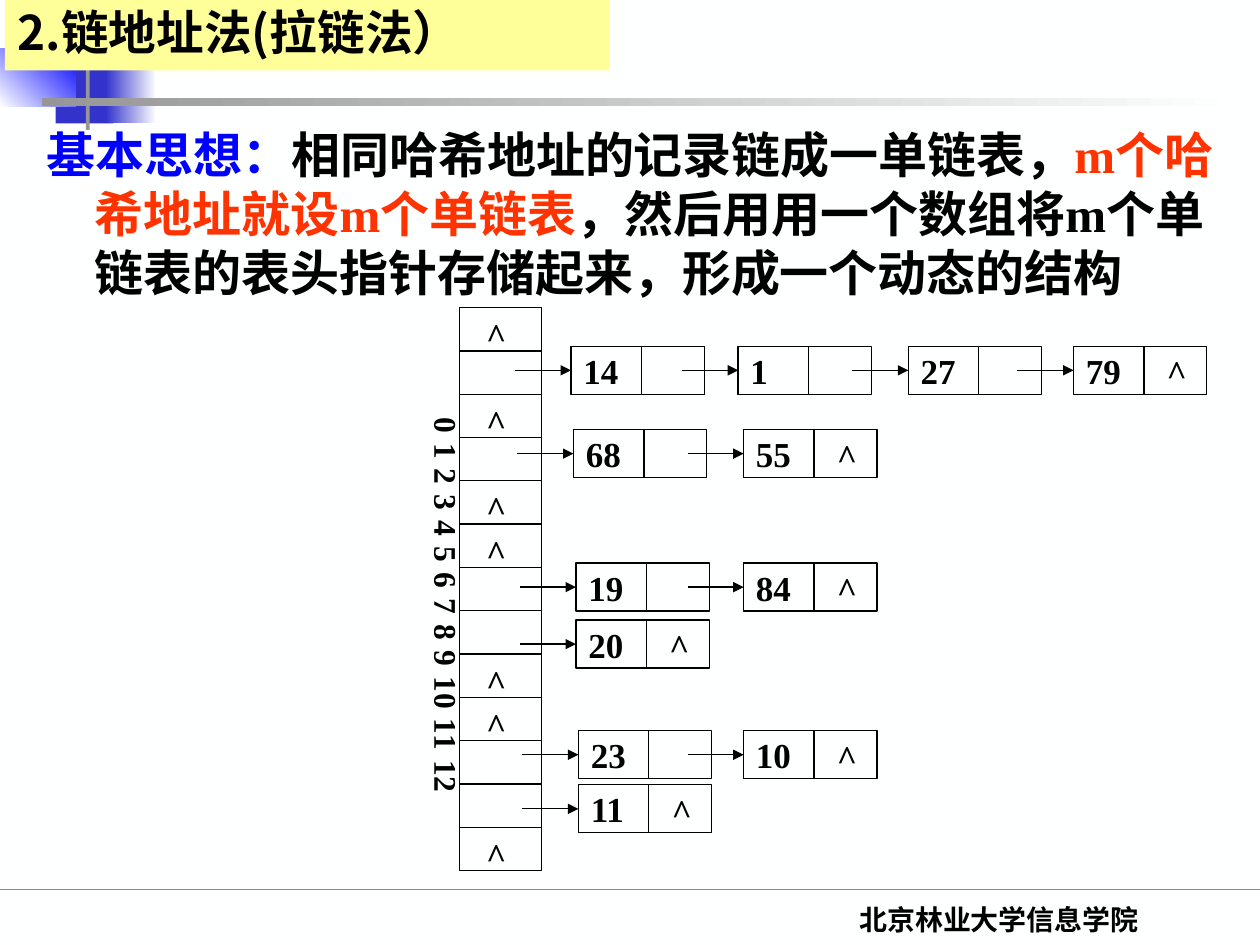
from lxml import etree
from pptx import Presentation
from pptx import util as u
from pptx.dml.color import RGBColor
from pptx.enum import shapes, text
from pptx.oxml import ns

COLORS = {
    "paper": "FEFFFF", "ink": "000000", "banner": "FFFF99", "term": "0000FF",
    "accent": "FF3300", "rule": "00CC99", "navy": "003366", "indigo": "3333CC",
    "gray": "969696",
}
SERIF, SANS = "Times New Roman", "Noto Sans CJK SC"

SLOTS = 13
CHAINS = [
    (0.78, [("14", 3.26), ("1", 6.63), ("27", 10.06), ("79", 13.39)]),
    (2.46, [("68", 3.31), ("55", 6.74)]),
    (5.15, [("19", 3.36), ("84", 6.74)]),
    (6.3, [("20", 3.36)]),
    (8.53, [("23", 3.41), ("10", 6.74)]),
    (9.62, [("11", 3.41)]),
]
EMPTY_SLOTS = [0, 2, 4, 5, 8, 9, 12]


def color(name):
    return RGBColor.from_string(COLORS[name])


def place(box, left, top, width, height):
    box.left, box.top = u.Cm(left), u.Cm(top)
    box.width, box.height = u.Cm(width), u.Cm(height)


def format_run(span, size, fill="ink", latin=SERIF):
    span.font.size = u.Pt(size)
    span.font.bold = True
    span.font.color.rgb = color(fill)
    span.font.name = latin
    east = etree.SubElement(span.font._element, ns.qn("a:ea"))
    east.set("typeface", SANS)


def write(box, words, size, align=text.PP_ALIGN.LEFT, latin=SERIF):
    para = box.text_frame.paragraphs[0]
    para.text = words
    para.alignment = align
    format_run(para.runs[0], size, latin=latin)
    return para


def add_label(page, words, left, top, width, height, size, wrap=False):
    box = page.shapes.add_textbox(u.Cm(left), u.Cm(top), u.Cm(width), u.Cm(height))
    box.text_frame.word_wrap = wrap
    return box, write(box, words, size)


def add_box(page, left, top, width, height):
    box = page.shapes.add_shape(
        shapes.MSO_SHAPE.RECTANGLE, u.Cm(left), u.Cm(top), u.Cm(width), u.Cm(height))
    box.shadow.inherit = False
    box.fill.background()
    box.line.color.rgb = color("ink")
    box.line.width = u.Pt(0.75)
    return box


def add_line(page, x1, y1, x2, y2, stroke="ink", arrow=False):
    line = page.shapes.add_connector(
        shapes.MSO_CONNECTOR.STRAIGHT, u.Cm(x1), u.Cm(y1), u.Cm(x2), u.Cm(y2))
    line.line.color.rgb = color(stroke)
    line.line.width = u.Pt(0.75)
    if arrow:
        head = etree.SubElement(line.line._get_or_add_ln(), ns.qn("a:tailEnd"))
        head.set("type", "triangle")
    etree.SubElement(line._element.spPr, ns.qn("a:effectLst"))
    return line


def add_ornament(page, left, top):
    blocks = [
        (0.79, 0, 1.22, 1.32, ["navy"], 0),
        (1.83, 0, 0.91, 1.32, ["navy", "paper"], 0),
        (1.12, 1.17, 1.17, 1.32, ["indigo"], 0),
        (2.13, 1.17, 1.02, 1.32, ["indigo", "paper"], 0),
        (0, 0.97, 1.52, 1.17, ["paper", "term"], 45),
        (1.73, 0, 0.08, 2.62, ["gray"], 0),
        (0.84, 1.98, 24.16, 0.15, ["gray", "paper"], 0),
    ]
    for x, y, width, height, fills, angle in blocks:
        box = add_box(page, left + x, top + y, width, height)
        box.line.fill.background()
        if len(fills) == 1:
            box.fill.solid()
            box.fill.fore_color.rgb = color(fills[0])
            continue
        box.fill.gradient()
        box.fill.gradient_angle = angle
        for stop, name in zip(box.fill.gradient_stops, fills):
            stop.color.rgb = color(name)


def add_title(page, left, top, width, height):
    title = page.shapes.title
    place(title, left, top, width, height)
    title.fill.solid()
    title.fill.fore_color.rgb = color("banner")
    title.text_frame.auto_size = text.MSO_AUTO_SIZE.NONE
    title.text_frame.vertical_anchor = text.MSO_ANCHOR.MIDDLE
    para = write(title, "2.链地址法(拉链法）", 27.2, latin=SANS)
    para.line_spacing = 0.9
    title.element.getparent().append(title.element)


def add_idea(page, left, top, width, height):
    body = page.placeholders[1]
    place(body, left, top, width, height)
    body.text_frame.auto_size = text.MSO_AUTO_SIZE.NONE
    para = body.text_frame.paragraphs[0]
    properties = para._p.get_or_add_pPr()
    properties.set("marL", str(u.Cm(0.97)))
    properties.set("indent", str(u.Cm(-0.97)))
    etree.SubElement(properties, ns.qn("a:buNone"))
    para.space_before = u.Pt(0)
    for words, fill in [
        ("基本思想：", "term"),
        ("相同哈希地址的记录链成一单链表，", "ink"),
        ("m个哈希地址就设m个单链表", "accent"),
        ("，然后用用一个数组将m个单链表的表头指针存储起来，形成一个动态的结构", "ink"),
    ]:
        span = para.add_run()
        span.text = words
        format_run(span, 28, fill)


def add_caret(page, left, top):
    add_label(page, "^", left, top, 0.92, 1.12, 20)


def add_array(page, left, top, width, height):
    add_box(page, left, top, width, height)
    pitch = height / SLOTS
    for slot in range(1, SLOTS):
        y = top + slot * pitch
        add_line(page, left, y, left + width, y)
    for slot in EMPTY_SLOTS:
        add_caret(page, left + 0.28, top + slot * pitch)


def add_node(page, words, left, top, width=2.69, height=0.97):
    box = add_box(page, left, top, width, height)
    box.text_frame.vertical_anchor = text.MSO_ANCHOR.MIDDLE
    write(box, words, 20)
    add_line(page, left + 1.42, top, left + 1.42, top + height)
    middle = top + height / 2
    arrow = add_line(page, left - 1.13, middle, left, middle, arrow=True)
    arrow.end_connect(box, 1)


def add_hash_table(page, left, top):
    add_array(page, left + 1.02, top, 1.65, 11.35)
    box, para = add_label(page, " ".join(map(str, range(SLOTS))),
                          left, top + 1.96, 1.27, 8.05, 18)
    para.runs[0].font._element.set("spc", "64")
    frame = box.text_frame
    frame._txBody.bodyPr.set("vert", "eaVert")
    frame.margin_left = frame.margin_right = u.Cm(0.13)
    frame.margin_top = frame.margin_bottom = u.Cm(0.25)
    for y, nodes in CHAINS:
        for words, x in nodes:
            add_node(page, words, left + x, top + y)
        add_caret(page, left + nodes[-1][1] + 1.63, top + y - 0.03)


def add_footer(page, left, top, width, height):
    add_line(page, 0, top, left + width, top, "rule")
    _, para = add_label(page, "北京林业大学信息学院",
                        left, top + 0.13, width, height, 16, wrap=True)
    para.alignment = text.PP_ALIGN.CENTER


def main():
    deck = Presentation()
    deck.slide_width, deck.slide_height = u.Cm(25.4), u.Cm(19.05)
    page = deck.slides.add_slide(deck.slide_layouts[1])
    page.background.fill.solid()
    page.background.fill.fore_color.rgb = color("paper")
    add_ornament(page, 0, 0)
    add_title(page, 0.1, 0, 12.19, 1.42)
    add_idea(page, 0.69, 2.39, 24.21, 3.81)
    add_hash_table(page, 8.25, 6.2)
    add_footer(page, 14.88, 17.93, 10.52, 1)
    deck.save("out.pptx")


if __name__ == "__main__":
    main()
